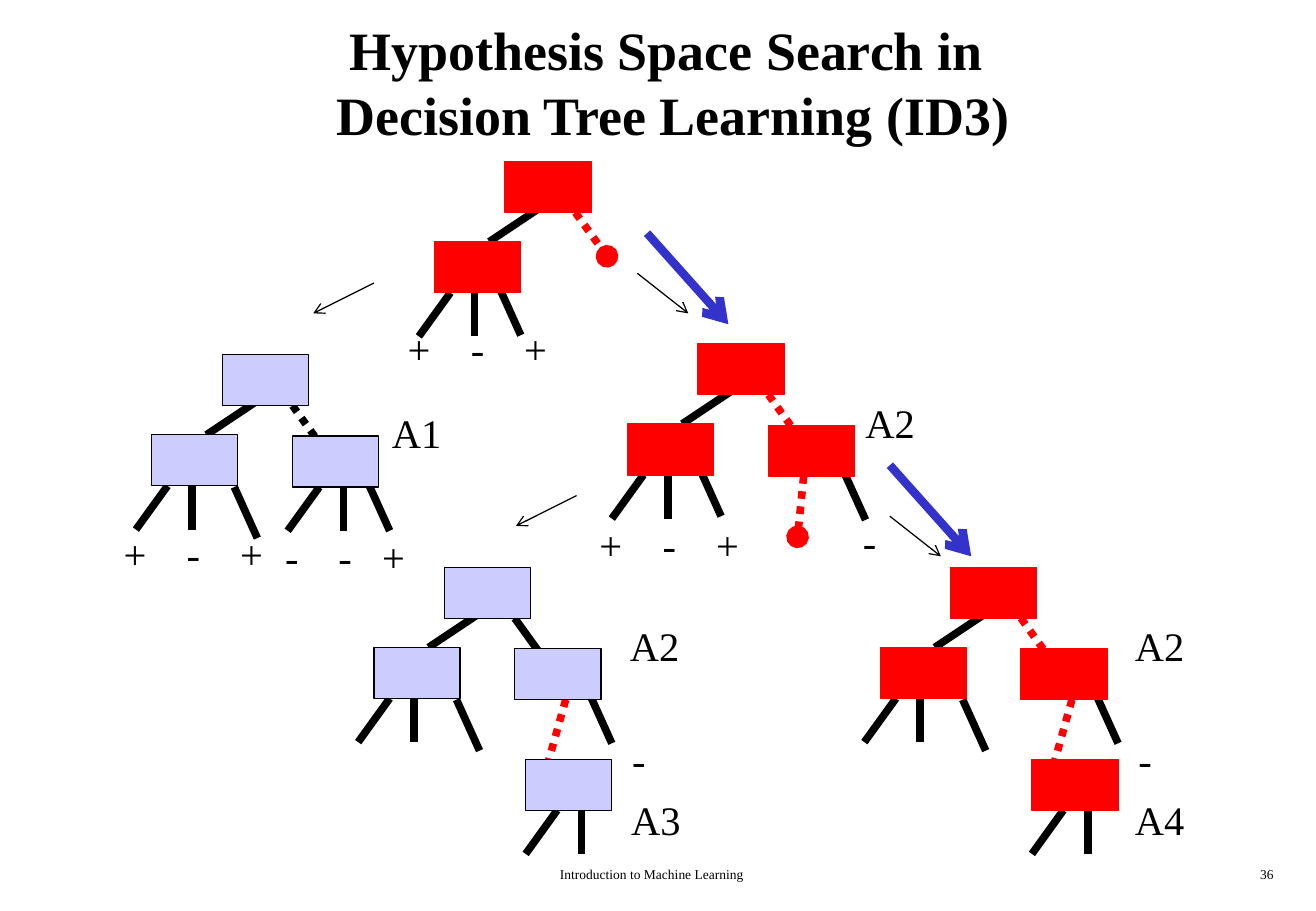
"""Draw the slide on hypothesis space search in ID3."""
import dataclasses
import typing

import lxml.etree
import pptx
import pptx.dml.color
import pptx.enum.dml
import pptx.enum.shapes
import pptx.enum.text
import pptx.oxml.ns
import pptx.util

RGBColor = pptx.dml.color.RGBColor
Inches = pptx.util.Inches
ALIGN = pptx.enum.text.PP_ALIGN
ANCHOR = pptx.enum.text.MSO_ANCHOR

BLACK = RGBColor(0x00, 0x00, 0x00)
RED = RGBColor(0xFF, 0x00, 0x00)
LILAC = RGBColor(0xCC, 0xCC, 0xFF)
BLUE = RGBColor(0x33, 0x33, 0xCC)
FONT = "Times New Roman"
WIDE, HIGH = 0.71, 0.42


@dataclasses.dataclass(frozen=True)
class Look:
    color: RGBColor = BLACK
    width: float = 4.5
    dots: bool = False
    tail: str = ""


@dataclasses.dataclass(frozen=True)
class Link:
    x1: float
    y1: float
    x2: float
    y2: float
    look: Look = Look()


@dataclasses.dataclass(frozen=True)
class Label:
    text: str
    x: float
    y: float
    wide: float = 0.61
    high: float = 0.5
    size: int = 24
    bold: bool = False
    align: ALIGN = ALIGN.LEFT
    anchor: ANCHOR = ANCHOR.TOP
    tabs: tuple[float, ...] = ()


@dataclasses.dataclass(frozen=True)
class Tree:
    x: float
    y: float
    fill: RGBColor
    edge: RGBColor
    branch: Look
    third: tuple[float, float]
    leaves: tuple[Link, ...] = ()
    right: bool = True
    deep: bool = False


def fan(x: float, y: float, shift: float) -> tuple[Link, ...]:
    """Return the three leaf lines below a box."""
    left, low = x + shift, y + 0.42
    return (Link(left, low, left - 0.26, low + 0.36),
            Link(left + 0.2, low, left + 0.2, low + 0.36),
            Link(left + 0.39, low - 0.06, left + 0.58, low + 0.36))


DOTS = Look(RED, dots=True)
BALL = Look(RED, dots=True, tail="oval")
THIN = Look(width=0.75, tail="arrow")
BOLD = Look(BLUE, 5, tail="arrow")

LEFT, RIGHT, DEEP = (-0.58, 0.66), (0.58, 0.67), (0.67, 1.58)
SIDE = fan(*RIGHT, 0.22)
CHAIN = (Link(1, 1.09, 0.84, 1.66, DOTS), SIDE[2], *fan(*DEEP, 0.26)[:2])
FORK = (Link(0.87, 1.09, 0.82, 1.59, BALL), SIDE[2])

TREES = (
    Tree(4.16, 1.33, RED, RED, BALL, (-0.06, 1.01), right=False),
    Tree(5.75, 2.83, RED, RED, DOTS, (0, 1), FORK),
    Tree(1.83, 2.92, LILAC, BLACK, Look(dots=True), (0.1, 1.09), SIDE),
    Tree(3.66, 4.67, LILAC, BLACK, Look(), (0.1, 1.09), CHAIN, deep=True),
    Tree(7.83, 4.67, RED, RED, DOTS, (0.1, 1.09), CHAIN, deep=True),
)

ARROWS = (
    Link(3.08, 2.33, 2.58, 2.58, THIN),
    Link(5.25, 2.25, 5.67, 2.58, THIN),
    Link(5.33, 1.92, 6, 2.67, BOLD),
    Link(4.75, 4.08, 4.25, 4.33, THIN),
    Link(7.33, 4.25, 7.75, 4.58, THIN),
    Link(7.33, 3.83, 8, 4.58, BOLD),
)

SIGNS = "+\t-\t+"
STOPS = (0.52, 0.96)
LABELS = (
    Label("Hypothesis Space Search in \vDecision Tree Learning (ID3)",
          0.42, 0.17, 10.25, 1, 32, True, ALIGN.CENTER, ANCHOR.MIDDLE),
    Label("Introduction to Machine Learning",
          3.34, 7.08, 4.06, 0.25, 8, align=ALIGN.CENTER),
    Label("36", 8.33, 7.08, 2.26, 0.25, 8, align=ALIGN.RIGHT),
    Label(SIGNS, 3.26, 2.62, 1.4, tabs=STOPS),
    Label(SIGNS, 4.84, 4.23, 1.4, tabs=STOPS),
    Label(SIGNS, 0.92, 4.31, 1.4, tabs=STOPS),
    Label("-\t-\t+", 2.25, 4.33, 1.3, tabs=(0.44, 0.8)),
    Label("-", 7.01, 4.21, 0.4),
    Label("-", 5.11, 6, 0.4),
    Label("-", 9.28, 6, 0.4),
    Label("A1", 3.13, 3.31),
    Label("A2", 7.03, 3.23),
    Label("A2", 5.09, 5.06),
    Label("A2", 9.25, 5.06),
    Label("A3", 5.1, 6.5),
    Label("A4", 9.25, 6.5),
)


def put(item: typing.Any, vals: dict[str, typing.Any]) -> None:
    """Set each named value on an item."""
    for name, val in vals.items():
        setattr(item, name, val)


def add(node: typing.Any, tag: str, **vals: str) -> typing.Any:
    """Append an XML child with its values."""
    return lxml.etree.SubElement(node, pptx.oxml.ns.qn(tag), vals)


def draw_link(slide: typing.Any, link: Link, x: float = 0, y: float = 0) -> None:
    """Draw one line, moved by x and y."""
    ends = (x + link.x1, y + link.y1, x + link.x2, y + link.y2)
    wire = slide.shapes.add_connector(
        pptx.enum.shapes.MSO_CONNECTOR.STRAIGHT, *map(Inches, ends))
    look = link.look
    wire.line.color.rgb = look.color
    wire.line.width = pptx.util.Pt(look.width)
    if look.dots:
        wire.line.dash_style = pptx.enum.dml.MSO_LINE.ROUND_DOT
    if look.tail:
        add(wire.line._get_or_add_ln(), "a:tailEnd", type=look.tail)
    add(wire._element.spPr, "a:effectLst")


def draw_box(slide: typing.Any, x: float, y: float, tree: Tree) -> None:
    """Draw one node of a tree."""
    box = slide.shapes.add_shape(
        pptx.enum.shapes.MSO_SHAPE.RECTANGLE,
        *map(Inches, (tree.x + x, tree.y + y, WIDE, HIGH)))
    box.shadow.inherit = False
    box.fill.solid()
    box.fill.fore_color.rgb = tree.fill
    box.line.color.rgb = tree.edge
    box.line.width = pptx.util.Pt(0.75)


def draw_tree(slide: typing.Any, tree: Tree) -> None:
    """Draw the lines of a tree, then its nodes."""
    x, y = tree.third
    links = (Link(0.32, 0.36, -0.13, 0.66), *fan(*LEFT, 0.13)[:2],
             Link(x, y, x + 0.19, y + 0.42),
             Link(0.58, 0.42, 0.84, 0.78, tree.branch), *tree.leaves)
    for link in links:
        draw_link(slide, link, tree.x, tree.y)
    spots = [LEFT, (0, 0)] + [RIGHT] * tree.right + [DEEP] * tree.deep
    for spot in spots:
        draw_box(slide, *spot, tree)


def draw_label(slide: typing.Any, label: Label) -> None:
    """Draw one text box."""
    box = slide.shapes.add_textbox(
        *map(Inches, (label.x, label.y, label.wide, label.high)))
    put(box.text_frame, {"word_wrap": True, "vertical_anchor": label.anchor})
    para = box.text_frame.paragraphs[0]
    put(para, {"text": label.text, "alignment": label.align})
    if label.tabs:
        stops = add(para._p.get_or_add_pPr(), "a:tabLst")
        for stop in label.tabs:
            add(stops, "a:tab", pos=str(int(Inches(stop))), algn="l")
    for run in para.runs:
        put(run.font, {"name": FONT, "size": pptx.util.Pt(label.size),
                       "bold": label.bold})
        run.font.color.rgb = BLACK


def main() -> None:
    """Build and save the slide."""
    deck = pptx.Presentation()
    put(deck, {"slide_width": Inches(10.84), "slide_height": Inches(7.5)})
    slide = deck.slides.add_slide(deck.slide_layouts[6])
    for tree in TREES:
        draw_tree(slide, tree)
    for arrow in ARROWS:
        draw_link(slide, arrow)
    for label in LABELS:
        draw_label(slide, label)
    deck.save("out.pptx")


if __name__ == "__main__":
    main()
